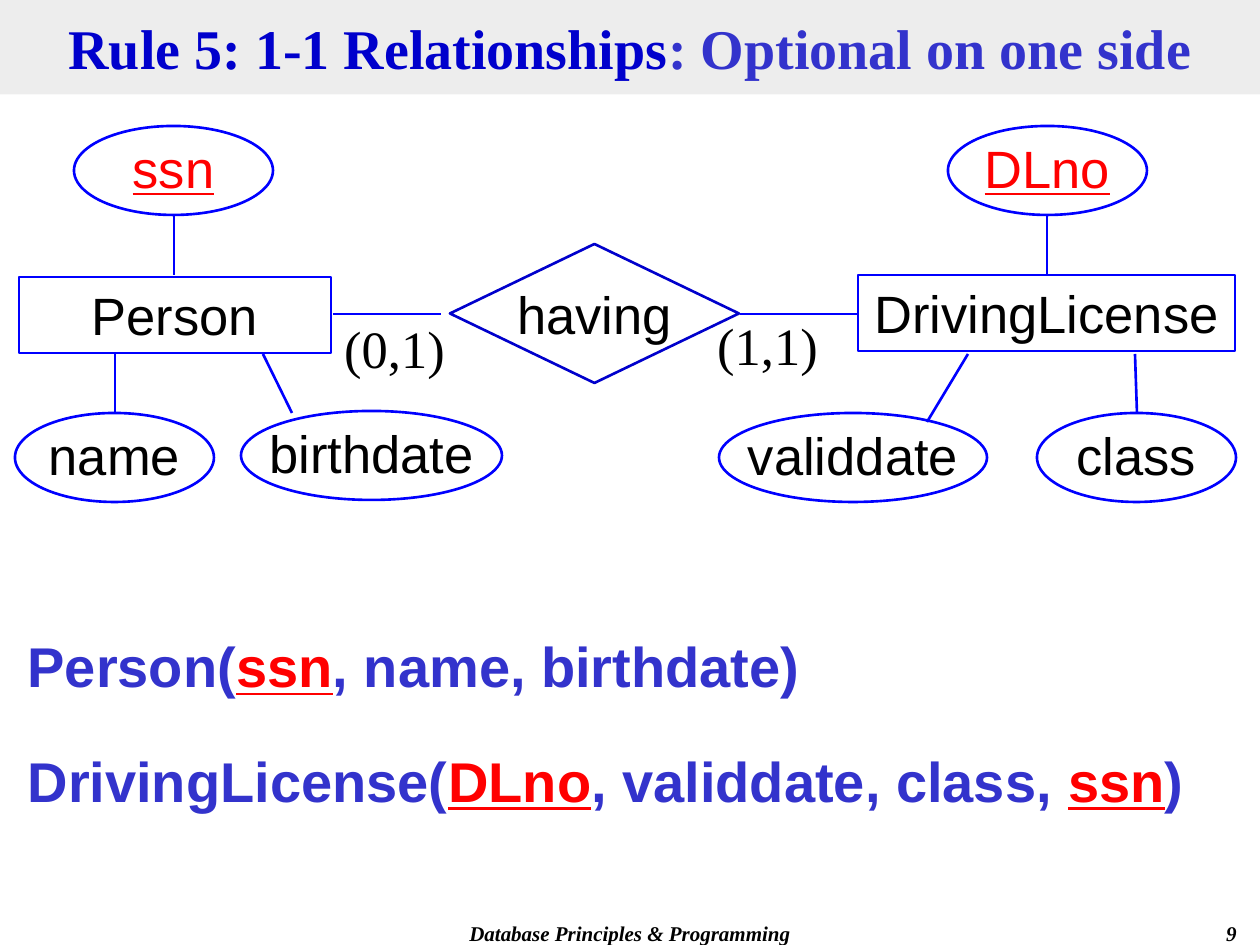
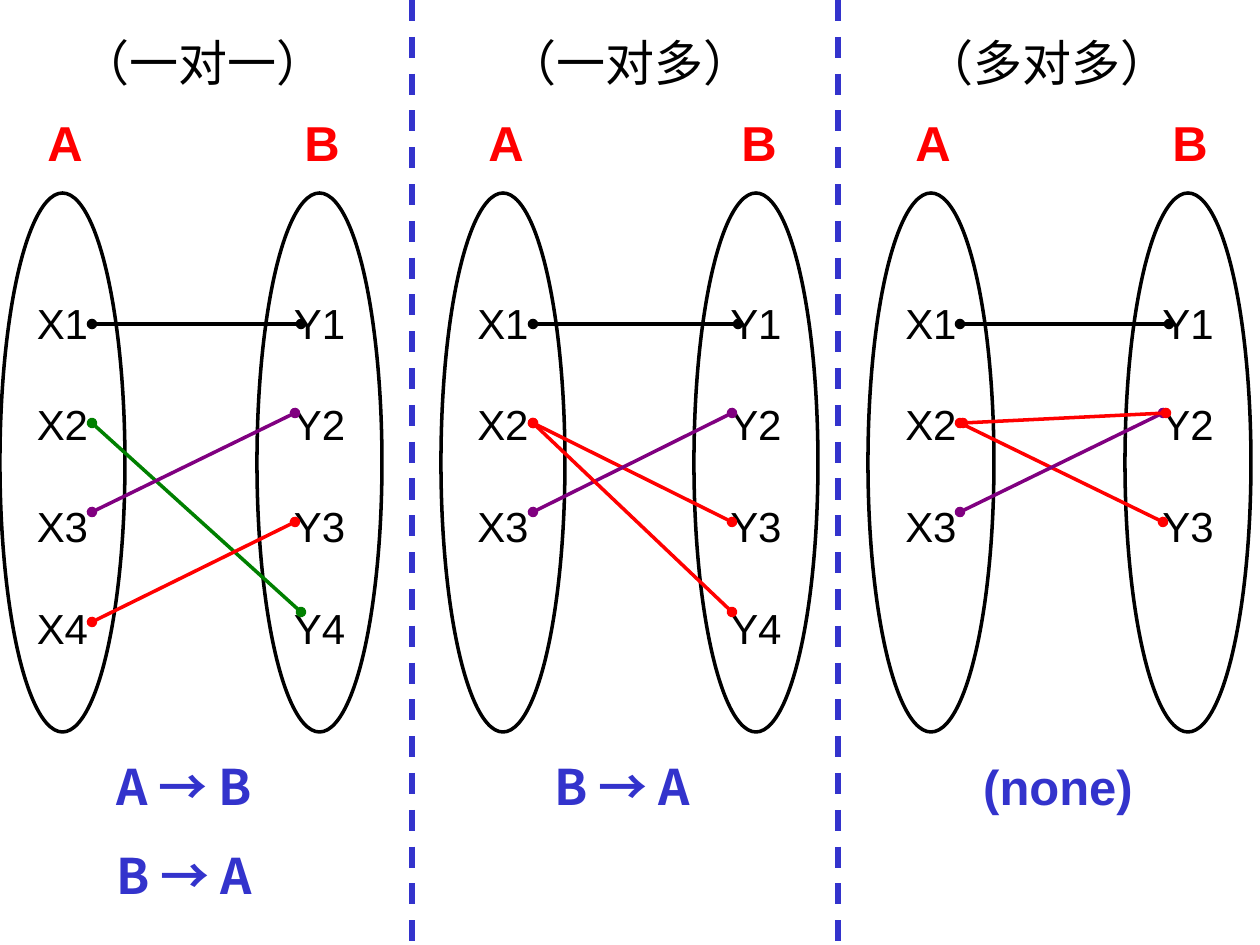
from pptx import Presentation
from pptx.dml.color import RGBColor
from pptx.enum.dml import MSO_LINE
from pptx.enum.shapes import MSO_CONNECTOR, MSO_SHAPE
from pptx.enum.text import MSO_ANCHOR, MSO_AUTO_SIZE, PP_ALIGN
from pptx.oxml.ns import qn
from pptx.util import Emu, Pt
from lxml.etree import SubElement

# Colours and fonts
BLACK = RGBColor(0x00, 0x00, 0x00)
WHITE = RGBColor(0xFF, 0xFF, 0xFF)
BAND_GREY = RGBColor(0xDD, 0xDD, 0xDD)
TITLE_BLUE = RGBColor(0x00, 0x00, 0xCC)
TEXT_BLUE = RGBColor(0x33, 0x33, 0xCC)
LINE_BLUE = RGBColor(0x00, 0x00, 0xFF)
RED = RGBColor(0xFF, 0x00, 0x00)
GREEN = RGBColor(0x00, 0x80, 0x00)
PURPLE = RGBColor(0x80, 0x00, 0x80)
SANS, SERIF, CJK = "Arial", "Times New Roman", "Noto Sans CJK SC"

# Text formats
TITLE = dict(name=SERIF, size=Pt(32), bold=True, color=TITLE_BLUE)
TITLE_END = TITLE | dict(color=TEXT_BLUE)
SCHEMA = dict(name=SANS, size=Pt(32), bold=True, color=TEXT_BLUE)
SCHEMA_KEY = SCHEMA | dict(color=RED, underline=True)
FOOTER = dict(name=SERIF, size=Pt(12), bold=True, italic=True, color=BLACK)
NODE = dict(name=SANS, size=Pt(30), color=BLACK)
NODE_KEY = NODE | dict(color=RED, underline=True)
CARDINALITY = NODE | dict(name=SERIF)
HEADING = dict(name=CJK, size=Pt(28), color=BLACK)
SET_NAME = dict(name=SANS, size=Pt(28), bold=True, color=RED)
MEMBER = dict(name=SANS, size=Pt(24), color=BLACK)
VERDICT = dict(name=CJK, size=Pt(28), bold=True, color=TEXT_BLUE)

# Slide 1 content: boxes are left, top, width, height in px
TITLE_SPANS = [("Rule 5: 1-1 Relationships", TITLE), (": Optional on one side", TITLE_END)]
SCHEMAS = [
    [("Person(", SCHEMA), ("ssn", SCHEMA_KEY), (", name, birthdate)", SCHEMA)],
    [("DrivingLicense(", SCHEMA), ("DLno", SCHEMA_KEY),
     (", validdate, class, ", SCHEMA), ("ssn", SCHEMA_KEY), (")", SCHEMA)],
]
FOOTERS = [
    ("Database Principles & Programming", (357, 914, 546, 32), PP_ALIGN.CENTER),
    ("9", (987, 914, 262, 32), PP_ALIGN.RIGHT),
]
ENTITIES = [("Person", (19, 277, 312, 76)), ("DrivingLicense", (858, 275, 377, 76))]
RELATIONSHIP = ("having", (450, 244, 289, 139))
ATTRIBUTES = [
    ("ssn", (74, 126, 199, 89), NODE_KEY),
    ("DLno", (948, 126, 199, 89), NODE_KEY),
    ("name", (15, 413, 199, 89), NODE),
    ("birthdate", (241, 411, 261, 89), NODE),
    ("validdate", (719, 413, 268, 89), NODE),
    ("class", (1037, 413, 199, 89), NODE),
]
CARDINALITIES = [("(0,1)", (321, 310, 147, 76)), ("(1,1)", (694, 307, 147, 76))]
DIAGRAM_LINES = [
    (333, 314, 441, 314), (740, 314, 858, 314),
    (174, 275, 174, 215), (1047, 275, 1047, 215),
    (115, 413, 115, 354), (292, 413, 263, 354),
    (927, 422, 968, 354), (1137, 413, 1135, 354),
]

# Slide 2 content: a link is X row, Y row, colour, shift of each end in px
DIVIDERS = [412, 838]
PANELS = [
    dict(heading="（一对一）", heading_left=34, sets=(0, 257), width=125, members=(4, 4),
         verdicts=["A → B", "B → A"], verdict_left=74, verdict_format=VERDICT,
         links=[(1, 1, BLACK, 0, 6), (2, 4, GREEN, 0, 6),
                (3, 2, PURPLE, 0, 0), (4, 3, RED, 0, 0)]),
    dict(heading="（一对多）", heading_left=461, sets=(441, 694), width=124, members=(3, 4),
         verdicts=["B → A"], verdict_left=512, verdict_format=VERDICT,
         links=[(1, 1, BLACK, 0, 6), (2, 3, RED, 0, 0),
                (3, 2, PURPLE, 0, 0), (2, 4, RED, 0, 0)]),
    dict(heading="（多对多）", heading_left=878, sets=(868, 1125), width=126, members=(3, 3),
         verdicts=["(none)"], verdict_left=948, verdict_format=VERDICT | dict(name=SANS),
         links=[(1, 1, BLACK, 0, 6), (2, 3, RED, 0, 0),
                (3, 2, PURPLE, 0, 0), (2, 2, RED, 3, 3)]),
]
X_ROWS = {1: 324, 2: 423, 3: 512, 4: 622}
Y_ROWS = {1: 324, 2: 413, 3: 522, 4: 612}
LINK_START, LINK_END = 92, 38


def px(value):
    return Emu(round(value * 914400 / 126))


def place(shape, box):
    for name, value in zip(("left", "top", "width", "height"), box):
        setattr(shape, name, px(value))


def write(shape, paragraphs, align=PP_ALIGN.CENTER, anchor=MSO_ANCHOR.TOP,
          wrap=True, margins=(0.05, 0.05), gap=0, line_spacing=None):
    """Fill a shape with paragraphs, each a list of (text, format) spans."""
    frame = shape.text_frame
    layout = dict(auto_size=MSO_AUTO_SIZE.NONE, word_wrap=wrap, vertical_anchor=anchor,
                  margin_left=px(12.6), margin_right=px(12.6),
                  margin_top=px(126 * margins[0]), margin_bottom=px(126 * margins[1]))
    for name, value in layout.items():
        setattr(frame, name, value)
    for index, spans in enumerate(paragraphs):
        para = frame.add_paragraph() if index else frame.paragraphs[0]
        para.alignment = align
        para.space_before = Pt(gap if index else 0)
        if line_spacing:
            para.line_spacing = line_spacing
        for text, text_format in spans:
            span = para.add_run()
            span.text = text
            for name, value in text_format.items():
                if name == "color":
                    span.font.color.rgb = value
                else:
                    setattr(span.font, name, value)
            east_asian = SubElement(span.font._element, qn("a:ea"))
            east_asian.set("typeface", text_format["name"])


def add_text(page, box, paragraphs, **layout):
    shape = page.shapes.add_textbox(*map(px, box))
    write(shape, paragraphs, **layout)


def add_outline(page, kind, box, paragraphs, color, weight, fill=None, **layout):
    shape = page.shapes.add_shape(kind, *map(px, box))
    shape.shadow.inherit = False
    if fill is None:
        shape.fill.background()
    else:
        shape.fill.solid()
        shape.fill.fore_color.rgb = fill
    shape.line.color.rgb = color
    shape.line.width = Pt(weight)
    write(shape, paragraphs, **layout)


def add_line(page, ends, color, weight, dash=None, dots=False):
    line = page.shapes.add_connector(MSO_CONNECTOR.STRAIGHT, *map(px, ends))
    line.line.color.rgb = color
    line.line.width = Pt(weight)
    if dash is not None:
        line.line.dash_style = dash
    if dots:
        for end in ("a:headEnd", "a:tailEnd"):
            SubElement(line.line._get_or_add_ln(), qn(end)).set("type", "oval")
    SubElement(line._element.spPr, qn("a:effectLst"))


def build_relationship_slide(deck):
    page = deck.slides.add_slide(deck.slide_layouts.get_by_name("Title and Content"))
    # Title band
    title = page.shapes.title
    place(title, (0, 0, 1260, 94.5))
    title.fill.solid()
    title.fill.fore_color.rgb = BAND_GREY
    fill_color = title._element.spPr.find(".//" + qn("a:srgbClr"))
    SubElement(fill_color, qn("a:alpha")).set("val", "50000")
    write(title, [TITLE_SPANS], anchor=MSO_ANCHOR.MIDDLE)
    # Relation schemas
    body = page.placeholders[1]
    place(body, (15, 592, 1240, 278))
    write(body, SCHEMAS, align=PP_ALIGN.LEFT, gap=8, line_spacing=1.5)
    for para in body.text_frame.paragraphs:
        properties = para._p.get_or_add_pPr()
        properties.set("marL", str(px(48)))
        properties.set("indent", str(px(-48)))
        SubElement(properties, qn("a:buNone"))
    # Entity-relationship diagram
    for text, box in ENTITIES:
        add_outline(page, MSO_SHAPE.RECTANGLE, box, [[(text, NODE)]], LINE_BLUE, 1.5)
    text, box = RELATIONSHIP
    add_outline(page, MSO_SHAPE.DIAMOND, box, [[(text, NODE)]], TITLE_BLUE, 1.5,
                fill=WHITE, anchor=MSO_ANCHOR.MIDDLE, wrap=False)
    for text, box, text_format in ATTRIBUTES:
        add_outline(page, MSO_SHAPE.OVAL, box, [[(text, text_format)]], LINE_BLUE, 1.5,
                    fill=WHITE, anchor=MSO_ANCHOR.MIDDLE, wrap=False, margins=(0, 0.05))
    for ends in DIAGRAM_LINES:
        add_line(page, ends, LINE_BLUE, 1.5)
    for text, box in CARDINALITIES:
        add_text(page, box, [[(text, CARDINALITY)]])
    # Footer
    for text, box, align in FOOTERS:
        add_text(page, box, [[(text, FOOTER)]], align=align)


def build_mapping_slide(deck):
    page = deck.slides.add_slide(deck.slide_layouts.get_by_name("Blank"))
    for left in DIVIDERS:
        add_line(page, (left, 0, left, 941), TEXT_BLUE, 3, dash=MSO_LINE.DASH)
    for panel in PANELS:
        add_text(page, (panel["heading_left"], 26, 338, 72), [[(panel["heading"], HEADING)]])
        # Two sets with their members
        for left, name, letter, count in zip(panel["sets"], "AB", "XY", panel["members"]):
            members = [[(f"{letter}{row}", MEMBER)] for row in range(1, count + 1)]
            add_outline(page, MSO_SHAPE.OVAL, (left, 193, panel["width"], 539), members,
                        BLACK, 2, margins=(0, 0), gap=15, line_spacing=1.5)
            add_text(page, (left + 11, 106, 108, 72), [[(name, SET_NAME)]])
        # Links between members
        left_set, right_set = panel["sets"]
        for x_row, y_row, color, start_shift, end_shift in panel["links"]:
            ends = (left_set + LINK_START + start_shift, X_ROWS[x_row],
                    right_set + LINK_END + end_shift, Y_ROWS[y_row])
            add_line(page, ends, color, 2, dots=True)
        # Functional dependencies
        verdicts = [[(text, panel["verdict_format"])] for text in panel["verdicts"]]
        height = 72 + 89 * (len(verdicts) - 1)
        add_text(page, (panel["verdict_left"], 750, 220, height), verdicts, gap=17.5)


def main():
    deck = Presentation()
    deck.slide_width, deck.slide_height = px(1260), px(945)
    build_relationship_slide(deck)
    build_mapping_slide(deck)
    deck.save("out.pptx")


if __name__ == "__main__":
    main()
